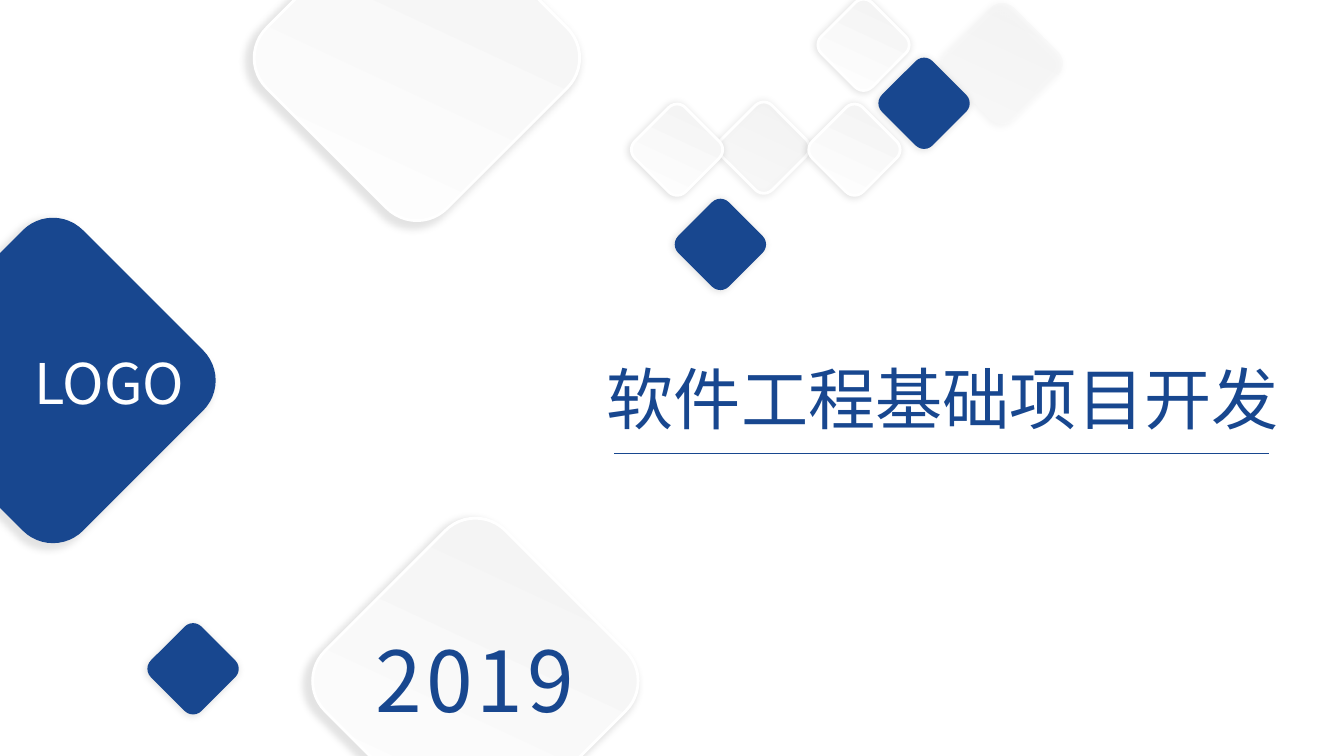
from lxml import etree
from pptx import Presentation
from pptx import util as u
from pptx.dml.color import RGBColor
from pptx.enum import shapes, text
from pptx.oxml import ns

WIDTH, HEIGHT = 13.33, 7.5
FONT = "Noto Sans CJK SC"
COLORS = {"navy": "18478F", "white": "FFFFFF", "grey": "F2F2F2", "black": "000000"}
LARGE, MEDIUM, SMALL = 2.53, 0.94, 0.71

DIAMONDS = [
    (9.47, 0.16, MEDIUM, "faint"),
    (7.22, 1.11, SMALL, "glass"),
    (-0.74, 2.51, LARGE, "navy"),
    (2.87, -0.69, LARGE, "pale"),
    (6.36, 1.13, SMALL, "pale"),
    (8.21, 0.09, SMALL, "pale"),
    (6.79, 2.07, SMALL, "navy"),
    (8.81, 0.67, SMALL, "navy"),
    (1.56, 6.28, SMALL, "navy"),
    (3.45, 5.49, LARGE, "pale"),
    (8.12, 1.13, SMALL, "pale"),
]


def rgb(name):
    return RGBColor.from_string(COLORS[name])


def add_color(parent, name, alpha):
    color = etree.SubElement(parent, ns.qn("a:srgbClr"), val=COLORS[name])
    if alpha < 100:
        etree.SubElement(color, ns.qn("a:alpha"), val=str(alpha * 1000))


def add_gradient(sp, alphas):
    sp.fill.gradient()
    grad = sp._element.spPr.find(ns.qn("a:gradFill"))
    for child in list(grad):
        grad.remove(child)
    grad.set("rotWithShape", "1")
    stops = etree.SubElement(grad, ns.qn("a:gsLst"))
    for pos, name, alpha in zip((0, 100), ("white", "grey"), alphas):
        stop = etree.SubElement(stops, ns.qn("a:gs"), pos=str(pos * 1000))
        add_color(stop, name, alpha)
    etree.SubElement(grad, ns.qn("a:lin"), ang=str(250 * 60000), scaled="0")


def add_shadow(sp):
    sp.shadow.inherit = False
    effects = sp._element.spPr.find(ns.qn("a:effectLst"))
    shadow = etree.SubElement(
        effects, ns.qn("a:outerShdw"), blurRad=str(u.Pt(5)), dist="0", dir="0",
        sx="102000", sy="102000", algn="tr", rotWithShape="0")
    add_color(shadow, "black", 11)


def add_diamond(slide, left, top, size, style):
    sp = slide.shapes.add_shape(
        shapes.MSO_SHAPE.ROUNDED_RECTANGLE,
        u.Inches(left), u.Inches(top), u.Inches(size), u.Inches(size))
    sp.rotation = 45
    if style == "navy":
        sp.fill.solid()
        sp.fill.fore_color.rgb = rgb("navy")
    else:
        add_gradient(sp, (100, 100) if style == "pale" else (40, 37))
    if style in ("pale", "glass"):
        sp.line.color.rgb = rgb("white")
        sp.line.width = u.Pt(2)
    else:
        sp.line.fill.background()
    add_shadow(sp)


def set_label(sp, box, content, size, color, spacing=0, indent=0.1):
    sp.left, sp.top, sp.width, sp.height = (u.Inches(v) for v in box)
    tf = sp.text_frame
    tf.text = content
    tf.word_wrap = True
    tf.auto_size = text.MSO_AUTO_SIZE.NONE
    tf.vertical_anchor = text.MSO_ANCHOR.TOP
    tf.margin_left, tf.margin_right = u.Inches(indent), u.Inches(0.1)
    tf.margin_top = tf.margin_bottom = u.Inches(0.05)
    p = tf.paragraphs[0]
    p.alignment = text.PP_ALIGN.CENTER
    p.line_spacing = 1.0
    p.space_before = u.Pt(0)
    r = p.runs[0]
    r.font.size = u.Pt(size)
    r.font.name = FONT
    r.font.color.rgb = rgb(color)
    rPr = r._r.get_or_add_rPr()
    etree.SubElement(rPr, ns.qn("a:ea"), typeface=FONT)
    if spacing:
        rPr.set("spc", str(spacing * 100))


def add_label(slide, *args, **kwargs):
    set_label(slide.shapes.add_textbox(0, 0, 0, 0), *args, **kwargs)


def add_rule(slide, left, right, y):
    line = slide.shapes.add_connector(
        shapes.MSO_CONNECTOR.STRAIGHT,
        u.Inches(left), u.Inches(y), u.Inches(right), u.Inches(y))
    line.line.color.rgb = rgb("navy")
    line.line.width = u.Pt(0.5)
    etree.SubElement(line._element.spPr, ns.qn("a:effectLst"))


def main():
    prs = Presentation()
    prs.slide_width, prs.slide_height = u.Inches(WIDTH), u.Inches(HEIGHT)
    slide = prs.slides.add_slide(prs.slide_layouts[5])
    for diamond in DIAMONDS:
        add_diamond(slide, *diamond)
    set_label(slide.shapes.title, (4.95, 3.49, 8.37, 0.91),
              "软件工程基础项目开发", 48, "navy", indent=0.53)
    add_rule(slide, 6.09, 12.59, HEIGHT * 0.6)
    add_label(slide, (3.48, 6.19, 2.46, 1.11), "2019", 60, "navy", spacing=3)
    add_label(slide, (0.05, 3.41, 2.07, 0.77), "LOGO", 40, "white")
    prs.save("out.pptx")


if __name__ == "__main__":
    main()
